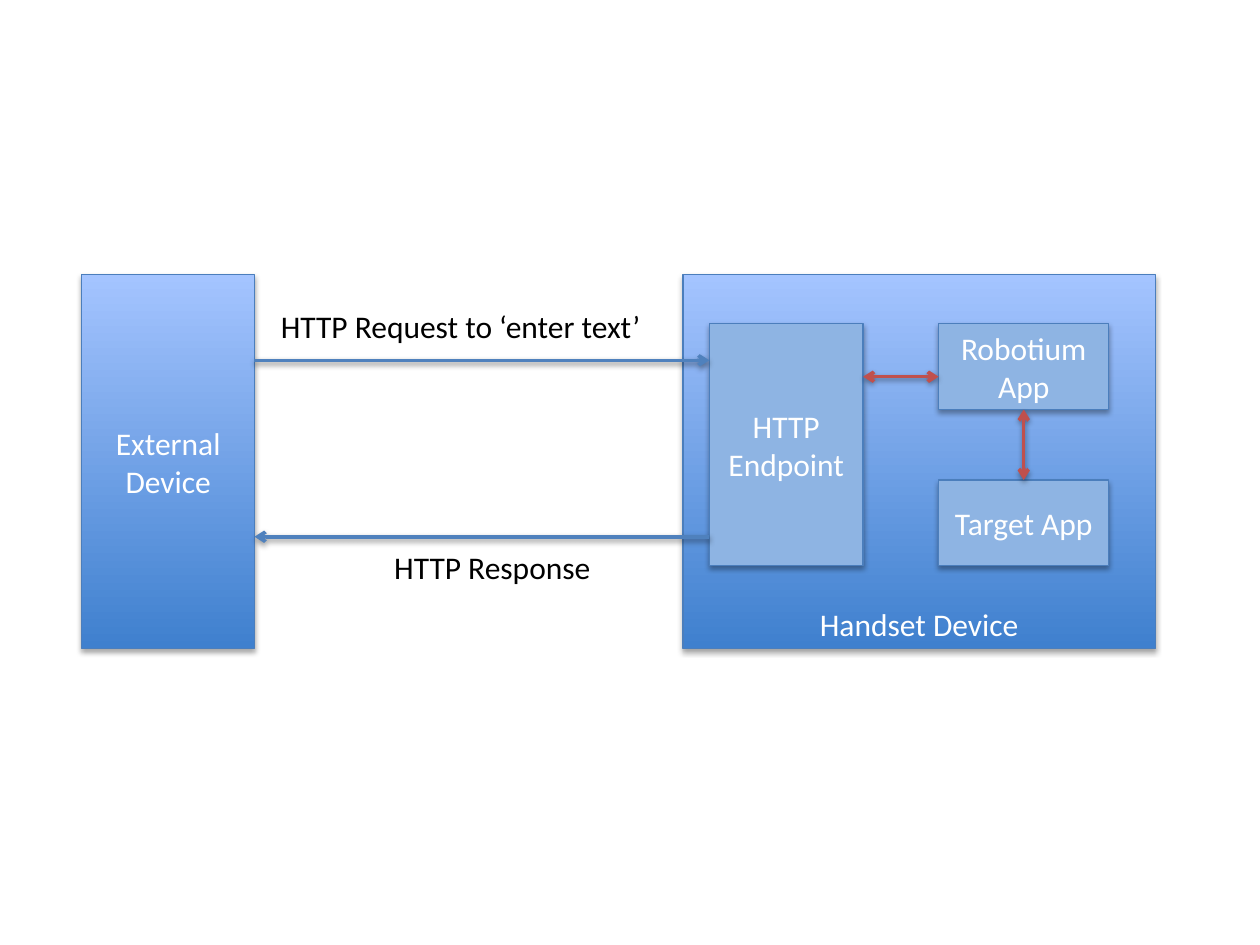
from dataclasses import dataclass

from lxml.etree import SubElement
from pptx import Presentation
from pptx.dml.color import RGBColor
from pptx.enum.shapes import MSO_CONNECTOR as Link, MSO_SHAPE as Form
from pptx.enum.text import MSO_ANCHOR as Anchor, MSO_AUTO_SIZE as Fit, PP_ALIGN as Align
from pptx.oxml.ns import qn
from pptx.util import Inches, Pt

COLORS = {
    "deep": "3F80CE", "pale": "A4C4FF", "inner": "8EB4E3", "edge": "4B7EBC",
    "blue": "4F81BD", "red": "C0504D", "white": "FFFFFF", "black": "000000",
}


@dataclass
class Box:
    text: str
    left: float
    top: float
    width: float
    height: float
    outer: bool = False
    anchor: Anchor = Anchor.MIDDLE


@dataclass
class Arrow:
    start: tuple[float, float]
    end: tuple[float, float]
    color: str
    double: bool = False


@dataclass
class Label:
    text: str
    left: float
    top: float
    width: float


def color(name: str) -> RGBColor:
    return RGBColor.from_string(COLORS[name])


def shade(shape, alpha: int, drop: float) -> None:
    effects = SubElement(shape.element.spPr, qn("a:effectLst"))
    shadow = SubElement(effects, qn("a:outerShdw"), blurRad=str(Pt(3.1)),
                        dist=str(Pt(drop)), dir="5400000", rotWithShape="0")
    tone = SubElement(shadow, qn("a:srgbClr"), val=COLORS["black"])
    SubElement(tone, qn("a:alpha"), val=str(alpha * 1000))


def write(frame, text: str, tone: str) -> None:
    frame.text = text
    font = frame.paragraphs[0].font
    font.name, font.size = "Calibri", Pt(18)
    font.color.rgb = color(tone)


def draw_box(shapes, box: Box) -> None:
    shape = shapes.add_shape(Form.RECTANGLE, Inches(box.left), Inches(box.top),
                             Inches(box.width), Inches(box.height))
    if box.outer:
        shape.fill.gradient()
        shape.fill.gradient_angle = 90
        for stop, name in zip(shape.fill.gradient_stops, ("deep", "pale")):
            stop.color.rgb = color(name)
    else:
        shape.fill.solid()
        shape.fill.fore_color.rgb = color("inner")
    shape.line.color.rgb = color("edge")
    shape.line.width = Pt(0.75)
    shade(shape, 35, 1.8)
    frame = shape.text_frame
    frame.word_wrap = True
    frame.vertical_anchor = box.anchor
    write(frame, box.text, "white")
    frame.paragraphs[0].alignment = Align.CENTER


def draw_arrow(shapes, arrow: Arrow) -> None:
    ends = [Inches(value) for value in (*arrow.start, *arrow.end)]
    link = shapes.add_connector(Link.STRAIGHT, *ends)
    link.line.color.rgb = color(arrow.color)
    link.line.width = Pt(2)
    line = link.element.spPr.find(qn("a:ln"))
    for tag in ("a:headEnd", "a:tailEnd") if arrow.double else ("a:tailEnd",):
        SubElement(line, qn(tag), type="arrow")
    shade(link, 38, 1.6)


def draw_label(shapes, label: Label) -> None:
    area = shapes.add_textbox(Inches(label.left), Inches(label.top),
                              Inches(label.width), Inches(0.4))
    frame = area.text_frame
    frame.word_wrap = False
    frame.auto_size = Fit.SHAPE_TO_FIT_TEXT
    write(frame, label.text, "black")


client = Box("External Device", 0.65, 2.18, 1.37, 2.97, True)
host = Box("Handset Device", 5.42, 2.18, 3.75, 2.97, True, Anchor.BOTTOM)
server = Box("HTTP Endpoint", 5.63, 2.57, 1.22, 1.92)
driver = Box("Robotium App", 7.45, 2.57, 1.35, 0.68)
target = Box("Target App", 7.45, 3.81, 1.35, 0.68)

near = client.left + client.width
mid = driver.left + driver.width / 2
arrows = [
    Arrow((near, 2.86), (server.left, 2.86), "blue"),
    Arrow((server.left, 4.26), (near, 4.26), "blue"),
    Arrow((server.left + server.width, 2.99), (driver.left, 2.99), "red", True),
    Arrow((mid, driver.top + driver.height), (mid, target.top), "red", True),
]
labels = [
    Label("HTTP Request to ‘enter text’", 2.13, 2.39, 3.11),
    Label("HTTP Response", 3.03, 4.3, 1.78),
]

deck = Presentation()
deck.slide_width, deck.slide_height = Inches(10), Inches(7.5)
shapes = deck.slides.add_slide(deck.slide_layouts[6]).shapes
draw_box(shapes, client)
group = shapes.add_group_shape().shapes
for box in (host, server, driver, target):
    draw_box(group, box)
for arrow in arrows:
    draw_arrow(shapes, arrow)
for label in labels:
    draw_label(shapes, label)
deck.save("out.pptx")
